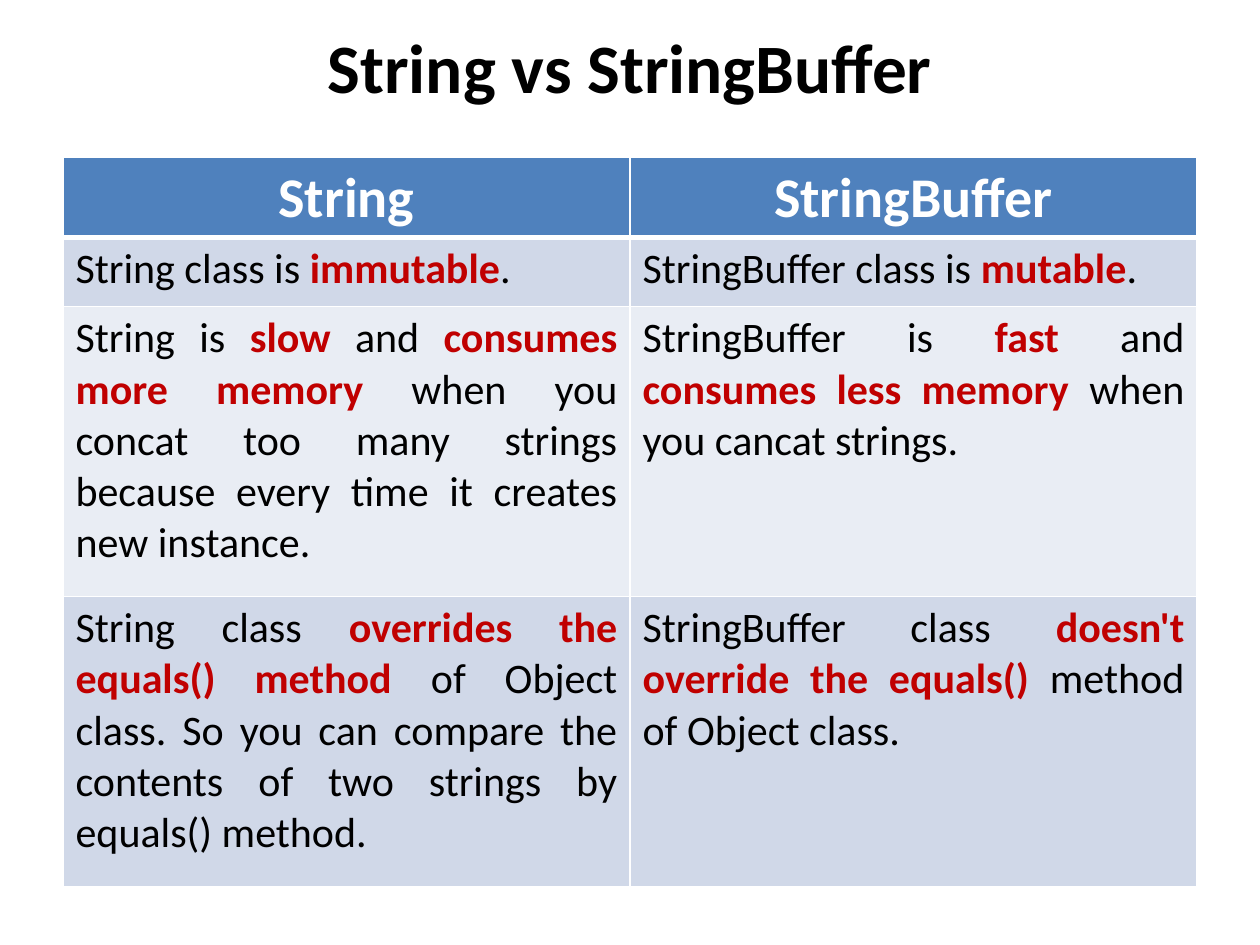
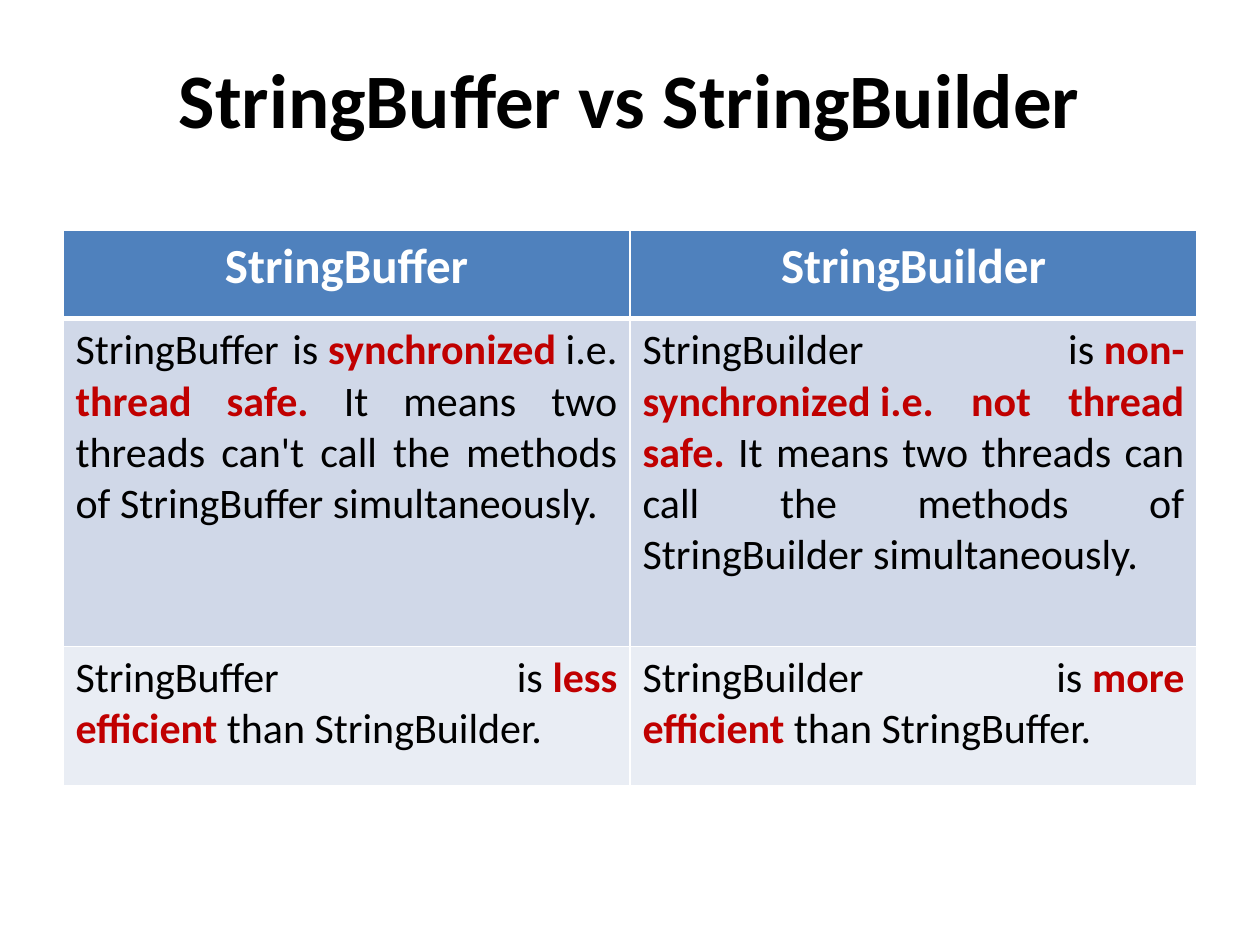
from lxml.etree import SubElement
from pptx import Presentation
from pptx.dml.color import RGBColor
from pptx.enum.text import MSO_ANCHOR as Anchor, PP_ALIGN as Align
from pptx.oxml.ns import qn
from pptx.util import Inches, Pt

FONT = "Calibri"
BLACK, WHITE, ACCENT = "000000", "FFFFFF", "C00000"
HEADER_FILL = "4F81BD"
BAND_FILLS = ["D0D8E8", "E9EDF4"]
BODY_SIZE = 24
THIN, THICK = 1, 3

deck = Presentation()
deck.slide_width, deck.slide_height = Inches(10), Inches(7.5)
column = deck.slide_width // 20
row = deck.slide_height // 750

comparisons = [
    {
        "title": "String vs StringBuffer",
        "title_size": 39.6,
        "title_rows": 45,
        "table_top": 125,
        "header_size": 32,
        "row_heights": [62, 55, 230, 230],
        "cells": [
            ["String", "StringBuffer"],
            ["String class is *immutable*.", "StringBuffer class is *mutable*."],
            [
                "String is *slow* and *consumes more memory* when you concat too many "
                "strings because every time it creates new instance.",
                "StringBuffer is *fast* and *consumes less memory* when you cancat strings.",
            ],
            [
                "String class *overrides the equals() method* of Object class. So you can "
                "compare the contents of two strings by equals() method.",
                "StringBuffer class *doesn't override the equals()* method of Object class.",
            ],
        ],
    },
    {
        "title": "StringBuffer vs StringBuilder",
        "title_size": 44,
        "title_rows": 95,
        "table_top": 183,
        "header_size": 28,
        "row_heights": [70, 260, 111],
        "cells": [
            ["StringBuffer", "StringBuilder"],
            [
                "StringBuffer is\u00a0*synchronized*\u00a0i.e. *thread safe.* It means two "
                "threads can't call the methods of StringBuffer simultaneously.",
                "StringBuilder is\u00a0*non-synchronized\u00a0i.e. not thread safe.* It means "
                "two threads can call the methods of StringBuilder simultaneously.",
            ],
            [
                "StringBuffer is\u00a0*less efficient*\u00a0than StringBuilder.",
                "StringBuilder is\u00a0*more efficient*\u00a0than StringBuffer.",
            ],
        ],
    },
]


def write(paragraph, marked_text, size, color, align):
    paragraph.alignment = align
    paragraph.font.name, paragraph.font.size = FONT, Pt(size)
    for position, phrase in enumerate(marked_text.split("*")):
        emphasised = position % 2 == 1
        run = paragraph.add_run()
        run.text = phrase
        run.font.bold = emphasised or align == Align.CENTER
        run.font.color.rgb = RGBColor.from_string(ACCENT if emphasised else color)


def paint(cell, fill, top, bottom):
    properties = cell._tc.get_or_add_tcPr()
    for side, weight in zip("LRTB", [THIN, THIN, top, bottom]):
        border = SubElement(properties, qn(f"a:ln{side}"), w=str(Pt(weight)))
        SubElement(SubElement(border, qn("a:solidFill")), qn("a:srgbClr"), val=WHITE)
    cell.fill.solid()
    cell.fill.fore_color.rgb = RGBColor.from_string(fill)


for comparison in comparisons:
    slide = deck.slides.add_slide(deck.slide_layouts[6])
    heading = slide.shapes.add_textbox(
        column, 30 * row, 18 * column, comparison["title_rows"] * row
    ).text_frame
    heading.word_wrap = True
    heading.vertical_anchor = Anchor.MIDDLE
    write(heading.paragraphs[0], comparison["title"], comparison["title_size"],
          BLACK, Align.CENTER)

    heights = comparison["row_heights"]
    table = slide.shapes.add_table(
        len(heights), 2, column, comparison["table_top"] * row,
        18 * column, sum(heights) * row
    ).table
    for index, (height, texts) in enumerate(zip(heights, comparison["cells"])):
        table.rows[index].height = height * row
        for side, text in enumerate(texts):
            cell = table.cell(index, side)
            paragraph = cell.text_frame.paragraphs[0]
            if index == 0:
                paint(cell, HEADER_FILL, THIN, THICK)
                write(paragraph, text, comparison["header_size"], WHITE, Align.CENTER)
            else:
                paint(cell, BAND_FILLS[(index - 1) % 2], THICK if index == 1 else THIN, THIN)
                write(paragraph, text, BODY_SIZE, BLACK, Align.JUSTIFY)

deck.save("out.pptx")
